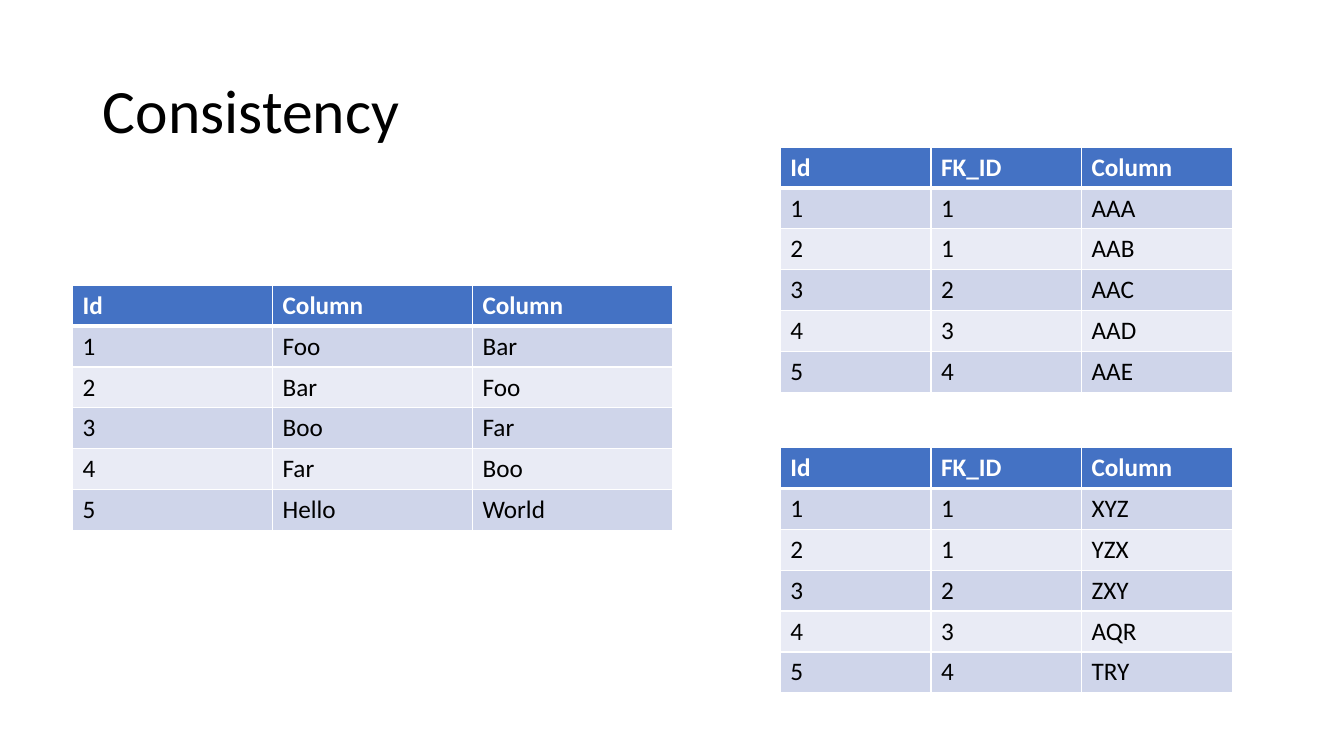
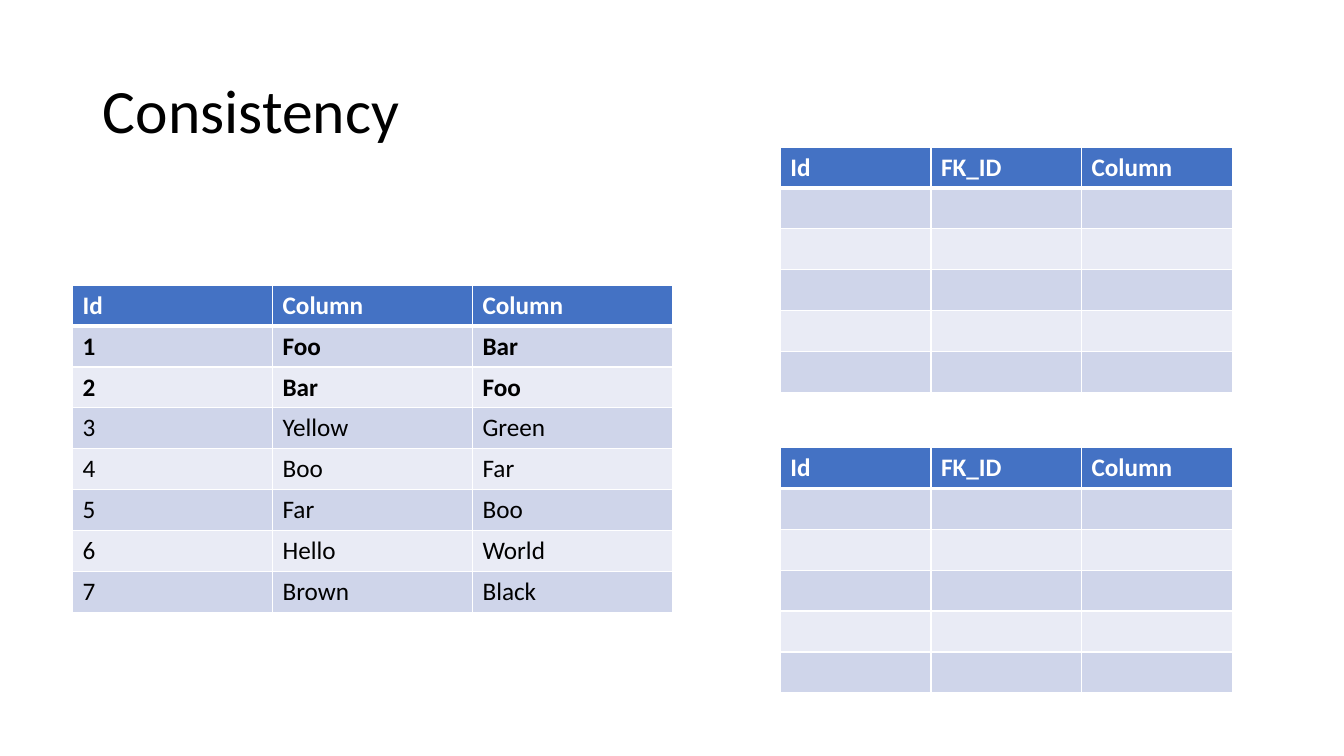
from collections import namedtuple

from lxml.etree import SubElement
from pptx import Presentation
from pptx.dml.color import RGBColor as Rgb
from pptx.enum.text import MSO_ANCHOR as Anchor, MSO_AUTO_SIZE as AutoSize, PP_ALIGN as Align
from pptx.oxml.ns import qn
from pptx.util import Inches, Pt

Box = namedtuple("Box", "left top width height")

COLOURS = {
    "header": "4472C4",
    "odd": "CFD5EA",
    "even": "E9EBF5",
    "white": "FFFFFF",
    "black": "000000",
}
FONT = "Calibri"
TITLE_FORMAT = {"name": FONT, "size": Pt(44), "bold": False}
CELL_FORMAT = {"name": FONT, "size": Pt(18)}
ROW_HEIGHT = 0.4
THIN, THICK = 1, 3

TITLE_BOX = Box(0.92, 0.4, 11.5, 1.45)
MAIN_BOX = Box(0.72, 2.83, 5.95, None)
UPPER_BOX = Box(7.74, 1.46, 4.48, None)
LOWER_BOX = Box(7.74, 4.44, 4.48, None)

MAIN_HEADER = ["Id", "Column", "Column"]
CHILD_HEADER = ["Id", "FK_ID", "Column"]
FOREIGN_KEYS = [1, 1, 2, 3, 4]
EMPTY_ROWS = [["", "", ""]] * 5


def numbered(rows):
    return [[number, *row] for number, row in enumerate(rows, 1)]


def child_rows(values):
    return numbered(zip(FOREIGN_KEYS, values))


PAGES = [
    {
        "main": numbered([("Foo", "Bar"), ("Bar", "Foo"), ("Boo", "Far"),
                          ("Far", "Boo"), ("Hello", "World")]),
        "bold_rows": 0,
        "upper": child_rows(["AAA", "AAB", "AAC", "AAD", "AAE"]),
        "lower": child_rows(["XYZ", "YZX", "ZXY", "AQR", "TRY"]),
    },
    {
        "main": numbered([("Foo", "Bar"), ("Bar", "Foo"), ("Yellow", "Green"),
                          ("Boo", "Far"), ("Far", "Boo"), ("Hello", "World"),
                          ("Brown", "Black")]),
        "bold_rows": 2,
        "upper": EMPTY_ROWS,
        "lower": EMPTY_ROWS,
    },
]


def colour(name):
    return Rgb.from_string(COLOURS[name])


def format_font(font, values, colour_name):
    for key, value in values.items():
        setattr(font, key, value)
    font.color.rgb = colour(colour_name)


def add_borders(cell, top, bottom):
    properties = cell._tc.get_or_add_tcPr()
    for tag, width in (("lnL", THIN), ("lnR", THIN), ("lnT", top), ("lnB", bottom)):
        line = SubElement(properties, qn(f"a:{tag}"), w=str(Pt(width)))
        fill = SubElement(line, qn("a:solidFill"))
        SubElement(fill, qn("a:srgbClr"), val=COLOURS["white"])


def fill_cell(cell, value, row, bold):
    is_header = row == 0
    add_borders(cell, THICK if row == 1 else THIN, THICK if is_header else THIN)
    cell.fill.solid()
    cell.fill.fore_color.rgb = colour("header" if is_header else "odd" if row % 2 else "even")
    if value != "":
        span = cell.text_frame.paragraphs[0].add_run()
        span.text = str(value)
        format_font(span.font, {**CELL_FORMAT, "bold": bold}, "white" if is_header else "black")


def add_data_table(page, box, header, rows, bold_rows=0):
    lines = [header, *rows]
    frame = page.shapes.add_table(
        len(lines), len(header), Inches(box.left), Inches(box.top),
        Inches(box.width), Inches(ROW_HEIGHT * len(lines)))
    for row, line in enumerate(lines):
        for column, value in enumerate(line):
            fill_cell(frame.table.cell(row, column), value, row, row <= bold_rows)


def add_title(page, box, text):
    title = page.shapes.title
    for key, value in box._asdict().items():
        setattr(title, key, Inches(value))
    frame = title.text_frame
    frame.auto_size = AutoSize.NONE
    frame.word_wrap = True
    frame.vertical_anchor = Anchor.MIDDLE
    para = frame.paragraphs[0]
    para.alignment = Align.LEFT
    para.line_spacing = 0.9
    span = para.add_run()
    span.text = text
    format_font(span.font, TITLE_FORMAT, "black")


def add_consistency_page(deck, content):
    page = deck.slides.add_slide(deck.slide_layouts.get_by_name("Title Only"))
    add_title(page, TITLE_BOX, "Consistency")
    add_data_table(page, MAIN_BOX, MAIN_HEADER, content["main"], content["bold_rows"])
    add_data_table(page, UPPER_BOX, CHILD_HEADER, content["upper"])
    add_data_table(page, LOWER_BOX, CHILD_HEADER, content["lower"])


def main():
    deck = Presentation()
    deck.slide_width, deck.slide_height = Inches(13.33), Inches(7.5)
    for content in PAGES:
        add_consistency_page(deck, content)
    deck.save("out.pptx")


if __name__ == "__main__":
    main()
